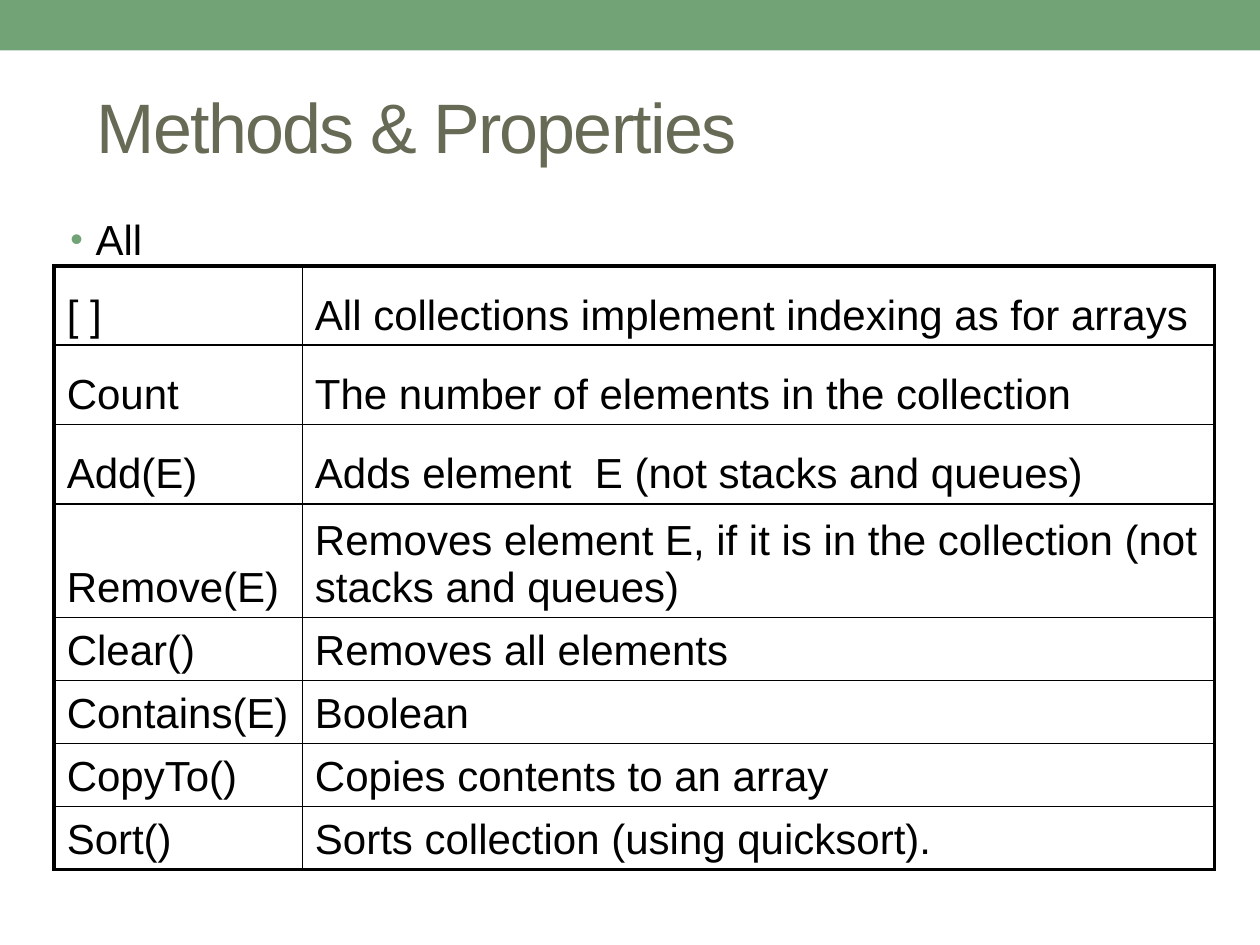
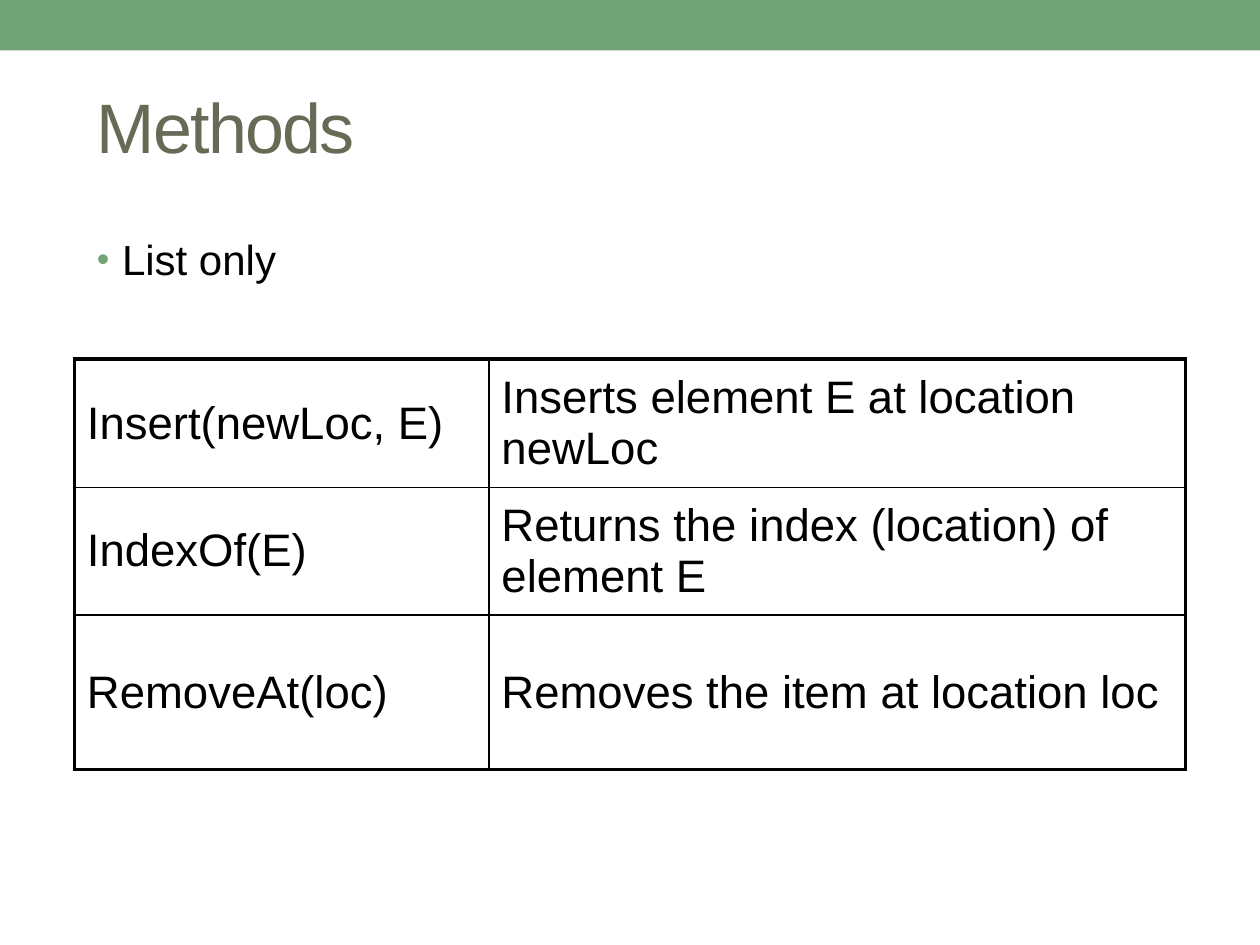
"""Build two slides that list collection methods in bordered tables."""
import pptx
import pptx.dml.color
import pptx.enum.shapes
import pptx.enum.text
import pptx.oxml.ns
import pptx.util
import lxml.etree

Inches = pptx.util.Inches
Anchor = pptx.enum.text.MSO_ANCHOR
qn = pptx.oxml.ns.qn

WIDTH, HEIGHT = 10, 7.5
GREEN, OLIVE, BLACK = "72A376", "676A55", "000000"
FONT = "Arial"
THICK, THIN = 2.25, 1
BAND = (0, 0, WIDTH, 0.4)
TITLE = (0.67, 0.46, 8.92, 1.08)

SLIDES = [
    {
        "title": "Methods & Properties",
        "bullet": "All",
        "body": (0.46, 1.59, 3.28, 5.16),
        "corner": (0.43, 2.11),
        "columns": [1.97, 7.24],
        "heights": [0.63] * 4 + [0.5] * 3 + [0.42],
        "size": 24,
        "anchor": Anchor.BOTTOM,
        "rows": [
            ("[ ]", "All collections implement indexing as for arrays"),
            ("Count", "The number of elements in the collection"),
            ("Add(E)", "Adds element  E (not stacks and queues)"),
            ("Remove(E)", "Removes element E, if it is in the collection (not stacks and queues)"),
            ("Clear()", "Removes all elements"),
            ("Contains(E)", "Boolean"),
            ("CopyTo()", "Copies contents to an array"),
            ("Sort()", "Sorts collection (using quicksort)."),
        ],
    },
    {
        "title": "Methods",
        "bullet": "List only",
        "body": (0.67, 1.75, 8.92, 4.92),
        "corner": (0.59, 2.85),
        "columns": [3.29, 5.53],
        "heights": [1.02, 1.01, 1.23],
        "size": 26,
        "anchor": Anchor.MIDDLE,
        "rows": [
            ("Insert(newLoc, E)", "Inserts element E at location newLoc"),
            ("IndexOf(E)", "Returns the index (location) of element E"),
            ("RemoveAt(loc)", "Removes the item at location loc"),
        ],
    },
]


def color(value):
    return pptx.dml.color.RGBColor.from_string(value)


def add_child(parent, tag, **attributes):
    return lxml.etree.SubElement(parent, qn(tag), attributes)


def add_bullet(para):
    para.line_spacing = 1.14
    para.space_after = pptx.util.Pt(6)
    properties = para._p.get_or_add_pPr()
    properties.set("marL", str(Inches(0.2)))
    properties.set("indent", str(-Inches(0.2)))
    add_child(add_child(properties, "a:buClr"), "a:srgbClr", val=GREEN)
    add_child(properties, "a:buSzPct", val="85000")
    add_child(properties, "a:buFont", typeface=FONT)
    add_child(properties, "a:buChar", char="•")


def write(frame, text, size=24, fill=BLACK, before=20, tracking=0, bullet=False):
    frame.word_wrap = True
    para = frame.paragraphs[0]
    span = para.add_run()
    span.text = text
    span.font.name = FONT
    span.font.size = pptx.util.Pt(size)
    span.font.color.rgb = color(fill)
    if tracking:
        span._r.get_or_add_rPr().set("spc", str(tracking * 100))
    if before:
        para.space_before = pptx.util.Pt(0)
        spacing = para._p.pPr.find(qn("a:spcBef"))
        spacing.remove(spacing[0])
        add_child(spacing, "a:spcPct", val=str(before * 1000))
    if bullet:
        add_bullet(para)


def add_text(page, place, text, anchor=Anchor.TOP, **style):
    box = page.shapes.add_textbox(*map(Inches, place))
    box.text_frame.vertical_anchor = anchor
    write(box.text_frame, text, **style)


def add_band(page):
    band = page.shapes.add_shape(pptx.enum.shapes.MSO_SHAPE.RECTANGLE, *map(Inches, BAND))
    band.shadow.inherit = False
    band.fill.solid()
    band.fill.fore_color.rgb = color(GREEN)
    band.line.fill.background()


def add_borders(cell, outer_sides):
    properties = cell._tc.get_or_add_tcPr()
    for side in "LRTB":
        weight = THICK if side in outer_sides else THIN
        line = add_child(properties, "a:ln" + side, w=str(pptx.util.Pt(weight)))
        add_child(add_child(line, "a:solidFill"), "a:srgbClr", val=BLACK)


def add_table(page, content):
    rows, columns, heights = content["rows"], content["columns"], content["heights"]
    place = (*content["corner"], sum(columns), sum(heights))
    table = page.shapes.add_table(len(rows), len(columns), *map(Inches, place)).table
    table.first_row = table.horz_banding = False
    for column, width in zip(table.columns, columns):
        column.width = Inches(width)
    for r, texts in enumerate(rows):
        table.rows[r].height = Inches(heights[r])
        for c, text in enumerate(texts):
            cell = table.cell(r, c)
            cell.vertical_anchor = content["anchor"]
            write(cell.text_frame, text, size=content["size"])
            edges = {"L": c == 0, "R": c == len(columns) - 1, "T": r == 0, "B": r == len(rows) - 1}
            add_borders(cell, [side for side, outer in edges.items() if outer])
            cell.fill.background()


deck = pptx.Presentation()
deck.slide_width, deck.slide_height = Inches(WIDTH), Inches(HEIGHT)
for content in SLIDES:
    page = deck.slides.add_slide(deck.slide_layouts[6])
    add_band(page)
    add_text(page, TITLE, content["title"], anchor=Anchor.MIDDLE,
             size=40, fill=OLIVE, before=0, tracking=-1)
    add_text(page, content["body"], content["bullet"], bullet=True)
    add_table(page, content)
deck.save("out.pptx")
